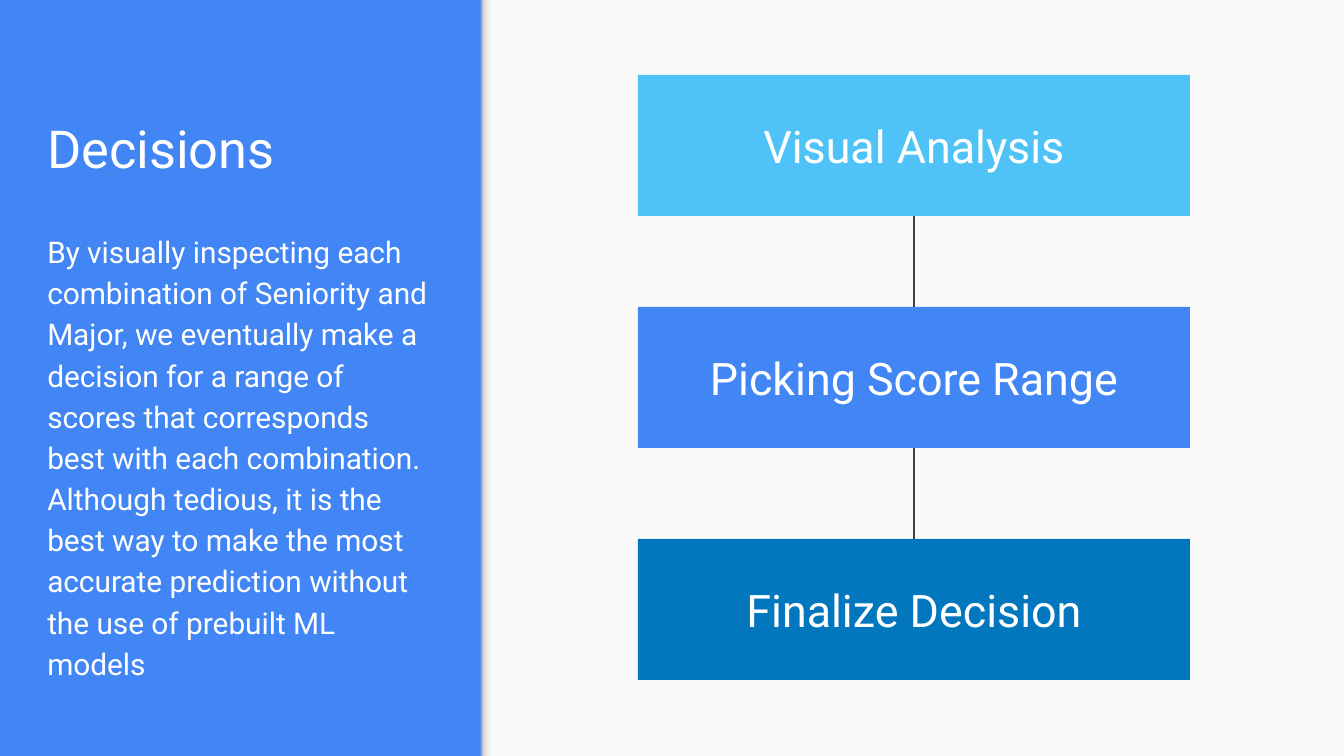
from lxml import etree
from pptx import Presentation
from pptx import util as u
from pptx.dml.color import RGBColor
from pptx.enum import shapes, text
from pptx.oxml import parse_xml
from pptx.oxml.ns import nsdecls, qn

PX = u.Inches(10) / 1344
COLORS = {
    "blue": "4285F4",
    "sky": "4FC3F7",
    "navy": "0277BD",
    "paper": "FAFAFA",
    "line": "424242",
    "white": "FFFFFF",
}
SHADOW_STOPS = [(0, "999999"), (20, "DEDEDE"), (64, "F9F9F9"), (100, "F9F9F9")]
BODY = (
    "By visually inspecting each combination of Seniority and Major, "
    "we eventually make a decision for a range of scores that corresponds "
    "best with each combination. Although tedious, it is the best way to make "
    "the most accurate prediction without the use of prebuilt ML models"
)
STEPS = [("Visual Analysis", "sky"), ("Picking Score Range", "blue"), ("Finalize Decision", "navy")]


def add_rectangle(left, top, width, height, color):
    box = page.shapes.add_shape(
        shapes.MSO_SHAPE.RECTANGLE, *[round(n * PX) for n in (left, top, width, height)]
    )
    box.shadow.inherit = False
    box.fill.solid()
    box.fill.fore_color.rgb = RGBColor.from_string(COLORS[color])
    box.line.fill.background()
    return box


def write(box, words, size, anchor, align):
    frame = box.text_frame
    frame.word_wrap = True
    frame.vertical_anchor = anchor
    frame.margin_left = frame.margin_right = u.Inches(0.1)
    frame.margin_top = frame.margin_bottom = u.Inches(0.1)
    para = frame.paragraphs[0]
    para.alignment = align
    span = para.add_run()
    span.text = words
    span.font.name = "Roboto"
    span.font.size = u.Pt(size)
    span.font.color.rgb = RGBColor.from_string(COLORS["white"])
    return para


deck = Presentation()
deck.slide_width = round(1344 * PX)
deck.slide_height = round(756 * PX)
page = deck.slides.add_slide(deck.slide_layouts[6])
page.background.fill.solid()
page.background.fill.fore_color.rgb = RGBColor.from_string(COLORS["blue"])

add_rectangle(481, 0, 863, 756, "paper")
edge = add_rectangle(481, 0, 16, 756, "paper")
stops = "".join(
    f'<a:gs pos="{place * 1000}"><a:srgbClr val="{color}"/></a:gs>' for place, color in SHADOW_STOPS
)
gradient = parse_xml(
    f'<a:gradFill {nsdecls("a")}><a:gsLst>{stops}</a:gsLst><a:lin ang="0" scaled="0"/></a:gradFill>'
)
properties = edge.element.spPr
properties.replace(properties.find(qn("a:solidFill")), gradient)

left_align = text.PP_ALIGN.LEFT
title = page.shapes.add_textbox(*[round(n * PX) for n in (34, 52, 413, 140)])
write(title, "Decisions", 28, text.MSO_ANCHOR.BOTTOM, left_align)
body = page.shapes.add_textbox(*[round(n * PX) for n in (34, 215, 413, 465)])
para = write(body, BODY, 16, text.MSO_ANCHOR.TOP, left_align)
para.line_spacing = 1.15
para.space_after = u.Pt(16)

previous = None
for index, (label, color) in enumerate(STEPS):
    box = add_rectangle(638, 75 + 232 * index, 552, 141, color)
    write(box, label, 24, text.MSO_ANCHOR.MIDDLE, text.PP_ALIGN.CENTER)
    if previous is not None:
        link = page.shapes.add_connector(shapes.MSO_CONNECTOR.STRAIGHT, 0, 0, 0, 0)
        link.begin_connect(previous, 2)
        link.end_connect(box, 0)
        link.line.color.rgb = RGBColor.from_string(COLORS["line"])
        link.line.width = u.Pt(0.75)
        etree.SubElement(link.element.spPr, qn("a:effectLst"))
    previous = box

deck.save("out.pptx")
